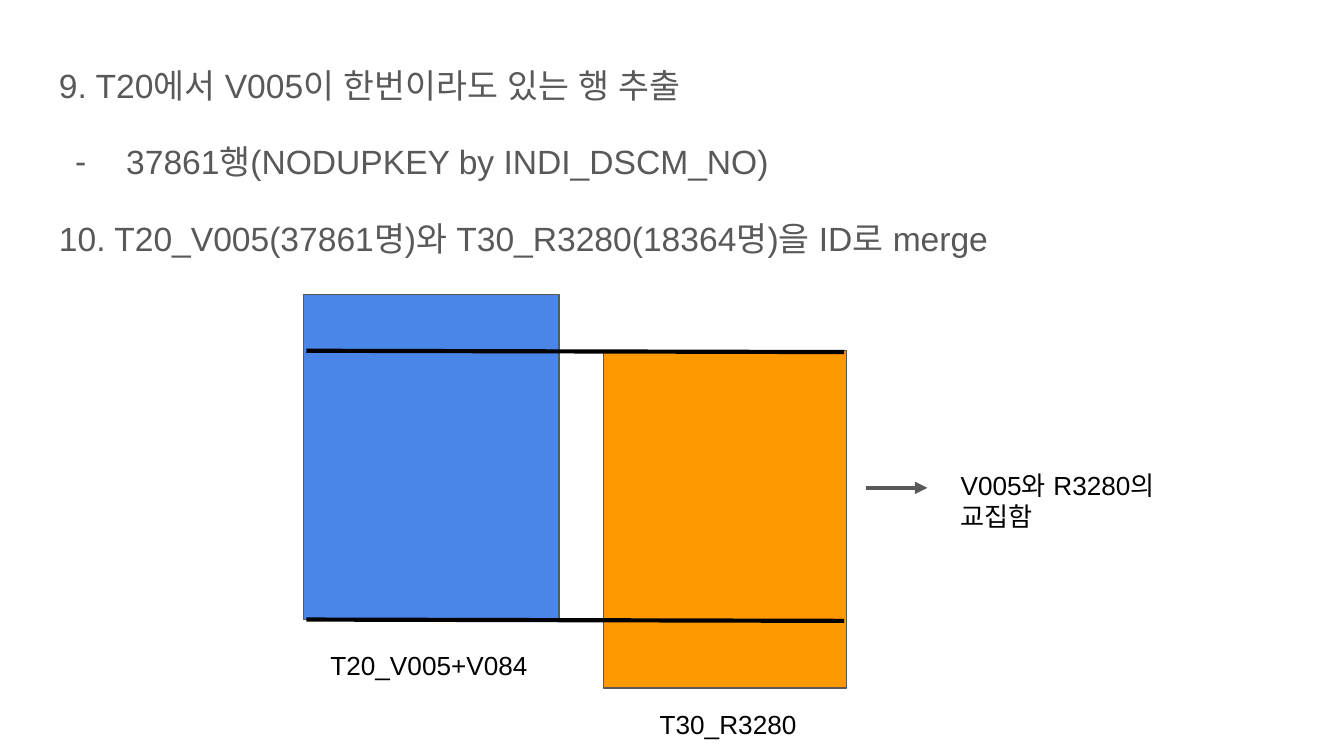
from lxml.etree import SubElement
from pptx import Presentation
from pptx.dml.color import RGBColor
from pptx.enum.shapes import MSO_CONNECTOR, MSO_SHAPE
from pptx.oxml.ns import qn
from pptx.util import Inches, Pt

GRAY = RGBColor(0x59, 0x59, 0x59)
BLACK = RGBColor(0, 0, 0)
BLUE = RGBColor(0x4A, 0x86, 0xE8)
ORANGE = RGBColor(0xFF, 0x99, 0x00)

presentation = Presentation()
presentation.slide_width = Inches(10)
presentation.slide_height = Inches(10 * 9 / 16)
slide = presentation.slides.add_slide(presentation.slide_layouts[6])


def add_text(left, top, width, height, lines, size, color):
    box = slide.shapes.add_textbox(Inches(left), Inches(top), Inches(width), Inches(height))
    frame = box.text_frame
    frame.word_wrap = True
    frame.margin_left = frame.margin_right = Inches(0.1)
    frame.margin_top = frame.margin_bottom = Inches(0.1)
    frame.text = "\n".join(lines)
    for paragraph in frame.paragraphs:
        for run in paragraph.runs:
            run.font.name = "Arial"
            run.font.size = Pt(size)
            run.font.color.rgb = color
            for script_tag in ("a:ea", "a:cs"):
                SubElement(run._r.get_or_add_rPr(), qn(script_tag)).set("typeface", "Arial")
    return frame.paragraphs


def add_line(start_x, start_y, end_x, end_y, color):
    connector = slide.shapes.add_connector(
        MSO_CONNECTOR.STRAIGHT, Inches(start_x), Inches(start_y), Inches(end_x), Inches(end_y)
    )
    connector.line.color.rgb = color
    connector.line.width = Pt(2.25)
    SubElement(connector._element.spPr, qn("a:effectLst"))
    return connector


steps = [
    "9. T20에서 V005이 한번이라도 있는 행 추출",
    "37861행(NODUPKEY by INDI_DSCM_NO)",
    "10. T20_V005(37861명)와 T30_R3280(18364명)을 ID로 merge",
]
paragraphs = add_text(0.34, 0.34, 9.32, 5.22, steps, 18, GRAY)
for paragraph in paragraphs:
    paragraph.line_spacing = 1.15
for paragraph in paragraphs[1:]:
    paragraph.space_before = Pt(16)

properties = paragraphs[1]._p.get_or_add_pPr()
properties.set("marL", str(Inches(0.5)))
properties.set("indent", str(Inches(-0.38)))
bullet_color = SubElement(properties, qn("a:buClr"))
SubElement(bullet_color, qn("a:srgbClr")).set("val", str(GRAY))
SubElement(properties, qn("a:buFont")).set("typeface", "Arial")
SubElement(properties, qn("a:buChar")).set("char", "-")

for left, top, width, height, color in [
    (2.26, 2.19, 1.9, 2.42, BLUE),
    (4.49, 2.61, 1.81, 2.51, ORANGE),
]:
    data_block = slide.shapes.add_shape(
        MSO_SHAPE.RECTANGLE, Inches(left), Inches(top), Inches(width), Inches(height)
    )
    data_block.shadow.inherit = False
    data_block.fill.solid()
    data_block.fill.fore_color.rgb = color
    data_block.line.color.rgb = GRAY
    data_block.line.width = Pt(0.75)

for left, top, width, height, label in [
    (2.36, 4.73, 1.81, 0.39, "T20_V005+V084"),
    (4.81, 5.17, 1.32, 0.39, "T30_R3280"),
]:
    add_text(left, top, width, height, [label], 14, BLACK)

for boundary in (2.61, 4.61):
    add_line(6.28, boundary + 0.01, 2.28, boundary, BLACK)

arrow = add_line(6.44, 3.63, 6.9, 3.63, GRAY)
SubElement(arrow.line._get_or_add_ln(), qn("a:tailEnd")).set("type", "triangle")

add_text(7.05, 3.39, 1.9, 0.62, ["V005와 R3280의 교집함"], 14, BLACK)

presentation.save("out.pptx")
